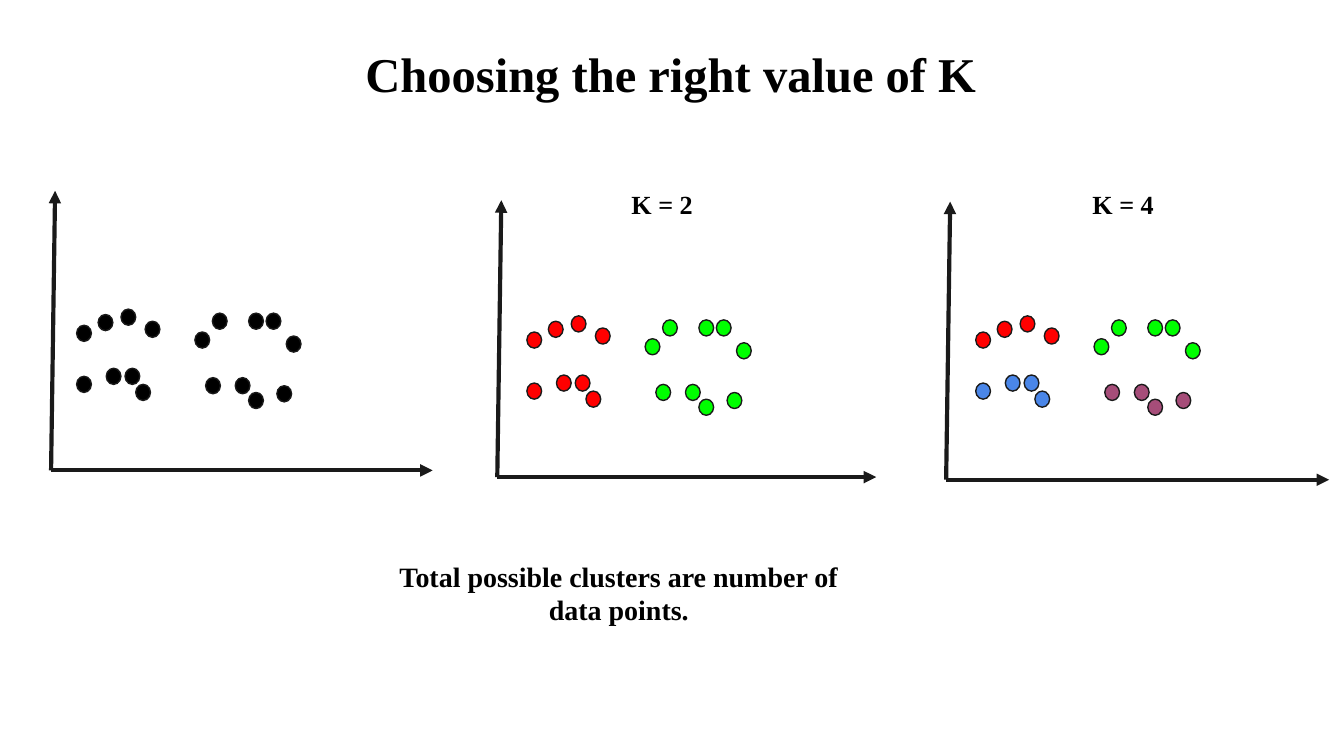
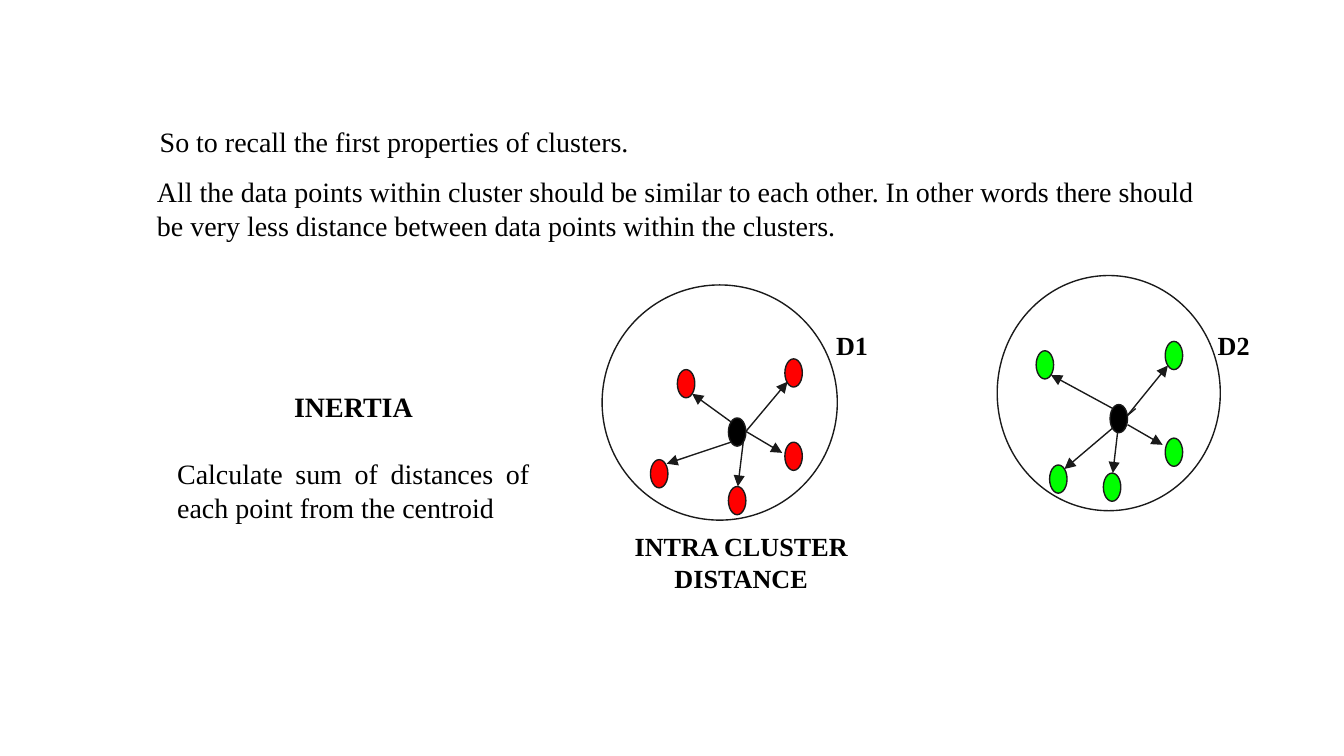
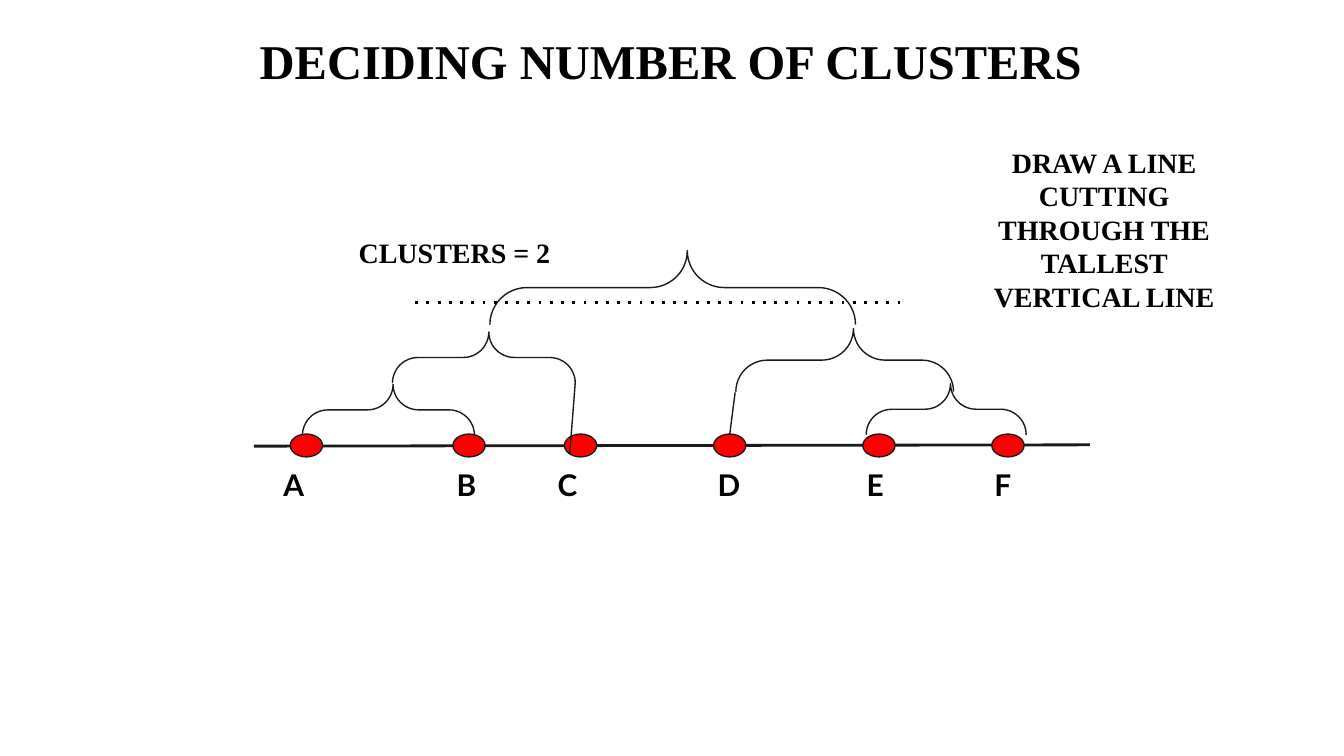
from lxml import etree
from pptx import Presentation
from pptx.dml.color import RGBColor
from pptx.enum.shapes import MSO_CONNECTOR, MSO_SHAPE
from pptx.enum.text import PP_ALIGN
from pptx.oxml.ns import qn
from pptx.util import Inches, Pt

LEFT, MID, JUST = PP_ALIGN.LEFT, PP_ALIGN.CENTER, PP_ALIGN.JUSTIFY
OVAL, DOT = MSO_SHAPE.OVAL, MSO_SHAPE.FLOWCHART_CONNECTOR
BRACE, LINE = MSO_SHAPE.LEFT_BRACE, MSO_CONNECTOR.STRAIGHT

COLS, ROWS = 100, 56.25
UNIT = Inches(0.1)
SERIF, SANS = "Times New Roman", "Lato"
HUES = {"ink": "000000", "edge": "1A1A1A", "paper": "FFFFFF", "red": "FF0000",
        "green": "00FF00", "blue": "4A86E8", "plum": "A64D79"}

CLOUD = (
    ((0, 1.2), (1.6, 0.4), (3.3, 0), (5.1, 0.9)),
    ((0, 5), (2.2, 4.4), (3.6, 4.4), (4.4, 5.6)),
    ((8.8, 1.7), (10.1, 0.3), (12.8, 0.3), (14.1, 0.3), (15.6, 2)),
    ((9.6, 5.1), (11.8, 5.1), (12.8, 6.2), (14.9, 5.7)),
)
PLOTS = (
    ((3.8, 14.2, 28.4, 20.8), (5.7, 23), ("ink",) * 4),
    ((37, 14.9, 28.2, 20.6), (39.2, 23.5), ("red", "red", "green", "green")),
    ((70.4, 15, 28.5, 20.7), (72.6, 23.5), ("red", "blue", "green", "plum")),
)
RINGS = (
    ((44.8, 21.2, 17.5, 17.5), "red", (9.4, 9.9),
     ((5.6, 6.3), (13.6, 5.5), (13.6, 11.7), (9.4, 15), (3.6, 13)),
     ((9.6, 10.2, 6.7, 8.1), (10.7, 10.9, 13.8, 7.2), (10.7, 10.9, 13.4, 12.5),
      (10.5, 11.7, 10.1, 15), (9.6, 11.7, 4.8, 13.3))),
    ((74.2, 20.5, 16.6, 17.5), "green", (8.4, 9.6),
     ((2.9, 5.6), (12.5, 4.9), (12.5, 12.1), (7.9, 14.7), (3.9, 14.1)),
     ((8.6, 9.9, 4, 7.4), (9.7, 10.4, 12.7, 6.7), (9.7, 11.1, 12.3, 12.6),
      (9, 11.3, 8.6, 14.7), (10.3, 9.9, 5, 14.4))),
)
LEAVES = (("A", 2.7, 1.2), ("B", 14.8, 14.1), ("C", 23.1, 21.6),
          ("D", 34.2, 33.5), ("E", 45.3, 44.6), ("F", 54.9, 54.1))
FORKS = ((3.6, 10, 12.8, 3.8, 0.473), (45.55, 9.95, 11.9, 3.8, 0.473),
         (35.85, 5.85, 16.2, 4.7, 0.46), (10.3, 6.1, 13.6, 3.8, 0.473),
         (17.55, 0.05, 27.2, 5.5, 0.46))
STEMS = ((35.8, 10.6, 35.4, 13.7), (23.5, 15.1, 23.9, 9.9))


def grid(*marks):
    """Turn grid counts into lengths."""
    return [round(m * UNIT) for m in marks]


def hue(name):
    """Give the colour of that name."""
    return RGBColor.from_string(HUES[name])


def text(slide, box, *paras, size=15, bold=True, align=LEFT, font=SERIF):
    """Add a text box; each paragraph is words or (words, bold, align, gap)."""
    frame = slide.shapes.add_textbox(*grid(*box)).text_frame
    frame.word_wrap = True
    frame.margin_left = frame.margin_right = UNIT
    frame.margin_top = frame.margin_bottom = UNIT
    for i, item in enumerate(paras):
        words, thick, side, gap = (item, bold, align, 0) if isinstance(item, str) else item
        para = frame.add_paragraph() if i else frame.paragraphs[0]
        para.text, para.alignment, para.space_before = words, side, Pt(gap)
        para.font.name, para.font.size, para.font.bold = font, Pt(size), thick
        para.font.color.rgb = hue("ink")


def title(slide, words, top):
    """Add the slide title at the given row."""
    text(slide, (15.3, top, 69.3, 7.5), words, size=26, align=MID)


def shape(slide, kind, box, fill=None):
    """Add a thin-edged preset shape, filled or hollow."""
    item = slide.shapes.add_shape(kind, *grid(*box))
    item.shadow.inherit = False
    item.line.color.rgb, item.line.width = hue("edge"), Pt(0.75)
    if fill:
        item.fill.solid()
        item.fill.fore_color.rgb = hue(fill)
    else:
        item.fill.background()
    return item


def wire(slide, ends, width=0.75, color="edge", arrow=False, dash=None):
    """Add a straight line, with an arrowhead or dashes on demand."""
    item = slide.shapes.add_connector(LINE, *grid(*ends))
    item.line.color.rgb, item.line.width = hue(color), Pt(width)
    props = item._element.spPr
    edge = props.find(qn("a:ln"))
    if dash:
        etree.SubElement(edge, qn("a:prstDash"), val=dash)
    if arrow:
        etree.SubElement(edge, qn("a:tailEnd"), type="triangle")
    etree.SubElement(props, qn("a:effectLst"))


def plot(slide, box, start, fills):
    """Draw two axes in the box and the cloud of points from its start."""
    x, y, w, h = box
    base = y + h
    wire(slide, (x, base, x + w, base), 2.25, arrow=True)
    wire(slide, (x, base, x + 0.3, y), 2.25, arrow=True)
    for group, fill in zip(CLOUD, fills):
        for dx, dy in group:
            shape(slide, DOT, (start[0] + dx, start[1] + dy, 1.1, 1.2), fill)


def ring(slide, box, fill, core, dots, rays):
    """Draw a cluster circle with points, centroid and distance arrows."""
    x, y = box[:2]
    shape(slide, OVAL, box, "paper")
    for dx, dy in dots:
        shape(slide, OVAL, (x + dx, y + dy, 1.3, 2.1), fill)
    for a, b, c, d in rays:
        wire(slide, (x + a, y + b, x + c, y + d), arrow=True)
    shape(slide, OVAL, (x + core[0], y + core[1], 1.3, 2.1), "ink")


def fork(slide, box, tip):
    """Draw an upward brace filling the box."""
    x, y, w, h = box
    item = shape(slide, BRACE, (x + (w - h) / 2, y + (h - w) / 2, h, w))
    item.rotation = 90
    item.adjustments[0], item.adjustments[1] = 0.5, tip


def tree(slide, box):
    """Draw the dendrogram in the box, with its leaves on a base line."""
    x, y, w, h = box
    wire(slide, (x, y + h, x + w, y + h - 0.1), 1.5)
    for name, dot, label in LEAVES:
        shape(slide, OVAL, (x + dot, y + h - 0.9, 2.4, 1.7), "red")
        text(slide, (x + label, y + h + 0.5, 3.9, 3.9), name, size=16, font=SANS)
    for dx, dy, wide, high, tip in FORKS:
        fork(slide, (x + dx, y + dy, wide, high), tip)
    for a, b, c, d in STEMS:
        wire(slide, (x + a, y + b, x + c, y + d))
    wire(slide, (x + 12, y + 3.9, x + 48.5, y + 3.9), 1.5, "ink", dash="dot")


def choose(slide):
    """Build the slide on choosing K."""
    title(slide, "Choosing the right value of K", 2.3)
    for item in PLOTS:
        plot(slide, *item)
    for x, words in ((46, "K = 2"), (80.3, "K = 4")):
        text(slide, (x, 13, 8, 4.8), words, size=14)
    text(slide, (27.9, 40.6, 36.3, 7.4),
         "Total possible clusters are number of data points.", align=MID)


def recall(slide):
    """Build the slide on inertia."""
    text(slide, (10.9, 8.3, 77.3, 11.1),
         "So to recall the first properties of clusters.", bold=False)
    text(slide, (10.7, 12, 80.4, 9.6),
         "All the data points within cluster should be similar to each other. "
         "In other words there should be very less distance between data points "
         "within the clusters.", bold=False)
    for item in RINGS:
        ring(slide, *item)
    text(slide, (12.2, 28, 28.2, 12.5), ("INERTIA", True, MID, 0),
         ("Calculate sum of distances of each point from the centroid", False, JUST, 18))
    for box, words in (((43.7, 38.5, 22.9, 4.5), "INTRA CLUSTER DISTANCE"),
                       ((59.7, 23.5, 7.4, 4.5), "D1"),
                       ((88.1, 23.5, 7.4, 4.5), "D2")):
        text(slide, box, words, size=14, align=MID)


def decide(slide):
    """Build the slide on the number of clusters."""
    tree(slide, (18.9, 18.6, 62.2, 14.6))
    title(slide, "DECIDING NUMBER OF CLUSTERS", 1.3)
    text(slide, (70.9, 9.8, 22.5, 12.7),
         "DRAW A LINE CUTTING THROUGH THE TALLEST VERTICAL LINE", align=MID)
    text(slide, (25.7, 16.5, 18.5, 3.9), "CLUSTERS = 2")


def main():
    """Build and save the deck."""
    deck = Presentation()
    deck.slide_width, deck.slide_height = grid(COLS, ROWS)
    for build in (choose, recall, decide):
        build(deck.slides.add_slide(deck.slide_layouts[6]))
    deck.save("out.pptx")


if __name__ == "__main__":
    main()
